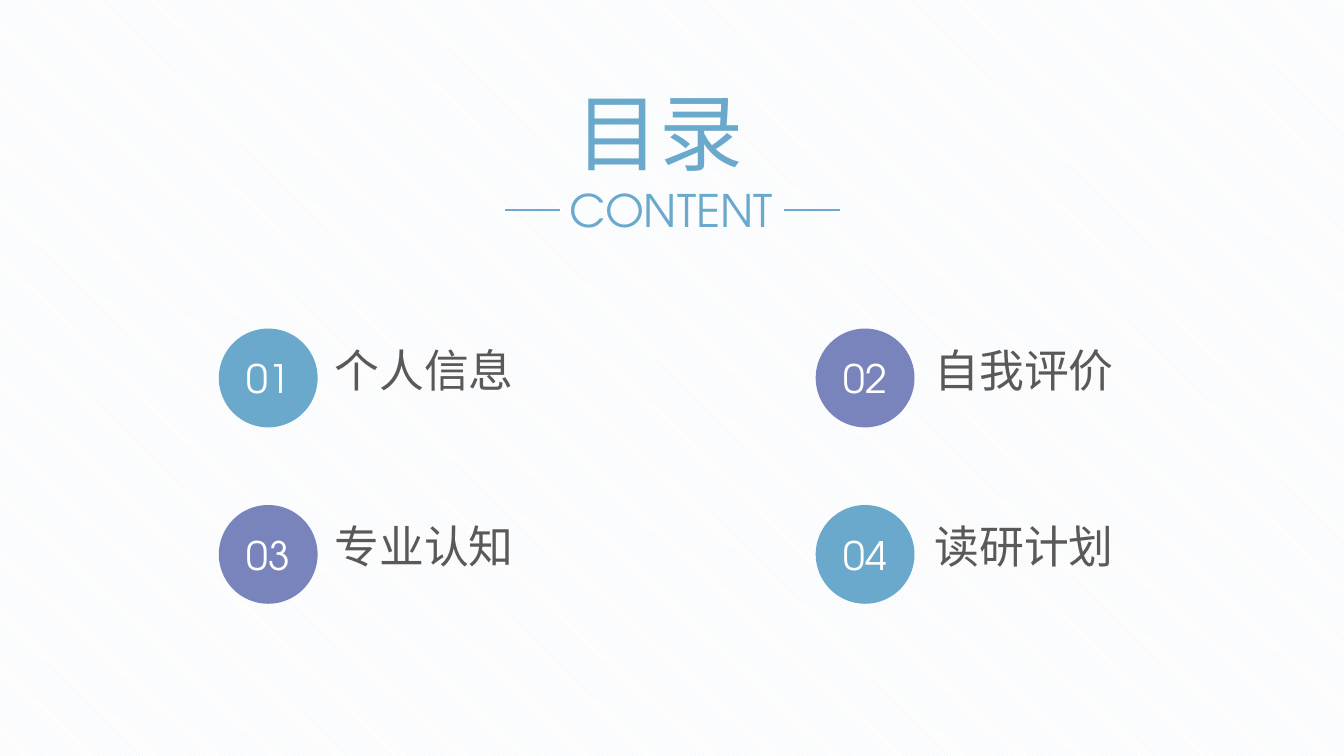
from pptx import Presentation
from pptx.dml.color import RGBColor
from pptx.enum.dml import MSO_PATTERN
from pptx.enum.shapes import MSO_CONNECTOR, MSO_SHAPE
from pptx.enum.text import MSO_ANCHOR, MSO_AUTO_SIZE, PP_ALIGN
from pptx.oxml.ns import qn
from pptx.util import Inches, Pt
from lxml import etree

STRIPES = MSO_PATTERN.LIGHT_DOWNWARD_DIAGONAL
STRAIGHT = MSO_CONNECTOR.STRAIGHT
OVAL = MSO_SHAPE.OVAL
TOP, MIDDLE = MSO_ANCHOR.TOP, MSO_ANCHOR.MIDDLE
GROW, FIXED = MSO_AUTO_SIZE.SHAPE_TO_FIT_TEXT, MSO_AUTO_SIZE.NONE
LEFT, CENTER, JUSTIFY = PP_ALIGN.LEFT, PP_ALIGN.CENTER, PP_ALIGN.JUSTIFY

BLUE = RGBColor(0x6A, 0xA9, 0xCB)
PURPLE = RGBColor(0x79, 0x83, 0xBC)
GREY = RGBColor(0x59, 0x59, 0x59)
WHITE = RGBColor(0xFF, 0xFF, 0xFF)
PALE_BLUE = RGBColor(0xE9, 0xF2, 0xF7)
FONT = "TeX Gyre Adventor"

COLUMNS = [(2.17, 3.22), (8.09, 9.17)]
FIRST_ROW, ROW_STEP = 3.26, 1.75
CIRCLE_SIZE = 0.98
LABEL_DROP = 0.085
TOPICS = [
    ("个人信息", BLUE),
    ("自我评价", PURPLE),
    ("专业认知", PURPLE),
    ("读研计划", BLUE),
]


def write_text(shape, text, size, color, align=LEFT, anchor=TOP, wrap=True, fit=GROW):
    frame = shape.text_frame
    frame.word_wrap = wrap
    frame.auto_size = fit
    frame.vertical_anchor = anchor
    para = frame.paragraphs[0]
    para.alignment = align
    span = para.add_run()
    span.text = text
    span.font.name = FONT
    span.font.size = Pt(size)
    span.font.color.rgb = color


def paint_background(page):
    fill = page.background.fill
    fill.patterned()
    fill.pattern = STRIPES
    fill.fore_color.rgb = PALE_BLUE
    fill.back_color.rgb = WHITE


def add_title(page, text):
    title = page.shapes.title
    title.left, title.top = Inches(5.61), Inches(0.75)
    title.width, title.height = Inches(2.11), Inches(1.11)
    write_text(title, text, 60, BLUE, align=JUSTIFY)


def add_label(page, text, left, top, width, color, anchor=TOP):
    box = page.shapes.add_textbox(Inches(left), Inches(top), Inches(width), Inches(0.64))
    write_text(box, text, 32, color, anchor=anchor, wrap=False)


def add_dash(page, start, end):
    height = Inches(2.08)
    dash = page.shapes.add_connector(STRAIGHT, Inches(start), height, Inches(end), height)
    dash.line.color.rgb = BLUE
    dash.line.width = Pt(1.5)
    etree.SubElement(dash.element.spPr, qn("a:effectLst"))


def add_circle(page, text, left, top, color):
    circle = page.shapes.add_shape(
        OVAL, Inches(left), Inches(top), Inches(CIRCLE_SIZE), Inches(CIRCLE_SIZE))
    circle.shadow.inherit = False
    circle.fill.solid()
    circle.fill.fore_color.rgb = color
    circle.line.fill.background()
    write_text(circle, text, 28, WHITE, align=CENTER, anchor=MIDDLE, fit=FIXED)


def add_topics(page):
    for index, (name, color) in enumerate(TOPICS):
        row, column = divmod(index, len(COLUMNS))
        circle_left, label_left = COLUMNS[column]
        top = FIRST_ROW + row * ROW_STEP
        add_circle(page, f"{index + 1:02}", circle_left, top, color)
        add_label(page, name, label_left, top + LABEL_DROP, 2, GREY, anchor=MIDDLE)


def main():
    deck = Presentation()
    deck.slide_width, deck.slide_height = Inches(13.33), Inches(7.5)
    page = deck.slides.add_slide(deck.slide_layouts.get_by_name("Title Only"))
    paint_background(page)
    add_title(page, "目录")
    add_label(page, "CONTENT", 5.55, 1.76, 2.24, BLUE)
    add_dash(page, 5.01, 5.55)
    add_dash(page, 7.78, 8.33)
    add_topics(page)
    deck.save("out.pptx")


if __name__ == "__main__":
    main()
